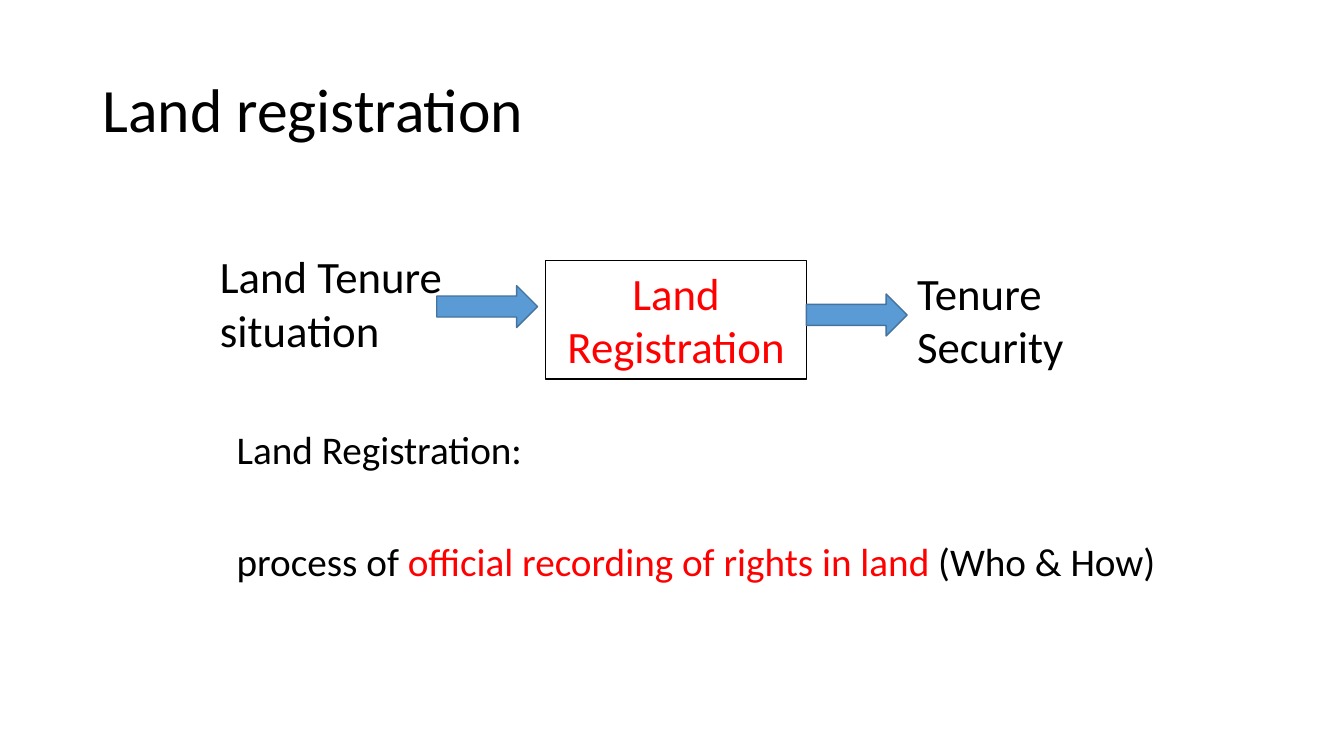
from pptx import Presentation
from pptx.dml.color import RGBColor
from pptx.enum.shapes import MSO_SHAPE
from pptx.enum.text import MSO_ANCHOR, PP_ALIGN
from pptx.util import Pt

PX = 9525  # EMU per px, 96 px to the inch
FONT = "Calibri"
COLORS = {"text": "000000", "accent": "FF0000", "arrow": "5B9BD5", "arrow_edge": "43739E"}
LEFT, CENTER = PP_ALIGN.LEFT, PP_ALIGN.CENTER
TOP, MIDDLE = MSO_ANCHOR.TOP, MSO_ANCHOR.MIDDLE
RECT, ARROW = MSO_SHAPE.RECTANGLE, MSO_SHAPE.RIGHT_ARROW


def emu(*lengths):
    return [n * PX for n in lengths]


def rgb(name):
    return RGBColor.from_string(COLORS[name])


def write(sp, paragraphs, size, align=LEFT, anchor=TOP):
    """Fill a shape with paragraphs, each a list of (text, colour name) runs."""
    tf = sp.text_frame
    tf.word_wrap = True
    tf.vertical_anchor = anchor
    for i, runs in enumerate(paragraphs):
        p = tf.add_paragraph() if i else tf.paragraphs[0]
        p.alignment = align
        p.font.name, p.font.size = FONT, Pt(size)
        for text, color in runs:
            r = p.add_run()
            r.text = text
            r.font.color.rgb = rgb(color)


def add_text(s, box, paragraphs, size):
    write(s.shapes.add_textbox(*emu(*box)), paragraphs, size)


def add_outlined(s, preset, box, edge, width):
    sp = s.shapes.add_shape(preset, *emu(*box))
    sp.shadow.inherit = False
    sp.line.color.rgb = rgb(edge)
    sp.line.width = Pt(width)
    return sp


def add_title(s, box, text):
    sp = s.shapes.title
    sp.left, sp.top, sp.width, sp.height = emu(*box)
    write(sp, [[(text, "text")]], 44, anchor=MIDDLE)
    sp.text_frame.paragraphs[0].line_spacing = 0.9


def add_flow(s, x, y):
    """Situation, process and result in a row, joined by two arrows."""
    h = 113
    process = add_outlined(s, RECT, (x + 320, y + 16, 248, h), "text", 0.75)
    process.fill.background()
    write(process, [[("Land Registration", "accent")]], 32, CENTER)
    add_text(s, (x, y, 232, h), [[("Land Tenure situation", "text")]], 32)
    add_text(s, (x + 664, y + 16, 200, h),
             [[("Tenure", "text")], [("Security", "text")]], 32)
    for dx, dy in ((568, 48), (216, 40)):
        arrow = add_outlined(s, ARROW, (x + dx, y + dy, 96, 40), "arrow_edge", 1)
        arrow.fill.solid()
        arrow.fill.fore_color.rgb = rgb("arrow")


def add_definition(s, x, y):
    add_text(s, (x, y, 864, 100), [[("Land Registration:", "text")]], 28)
    add_text(s, (x, y + 107, 912, 55),
             [[("process of ", "text"),
               ("official recording of rights in land", "accent"),
               (" (Who & How)", "text")]], 28)


def main():
    prs = Presentation()
    prs.slide_width, prs.slide_height = emu(1280, 720)
    s = prs.slides.add_slide(prs.slide_layouts[5])
    add_title(s, (88, 38, 1104, 139), "Land registration")
    add_flow(s, 200, 232)
    add_definition(s, 216, 400)
    prs.save("out.pptx")


if __name__ == "__main__":
    main()
